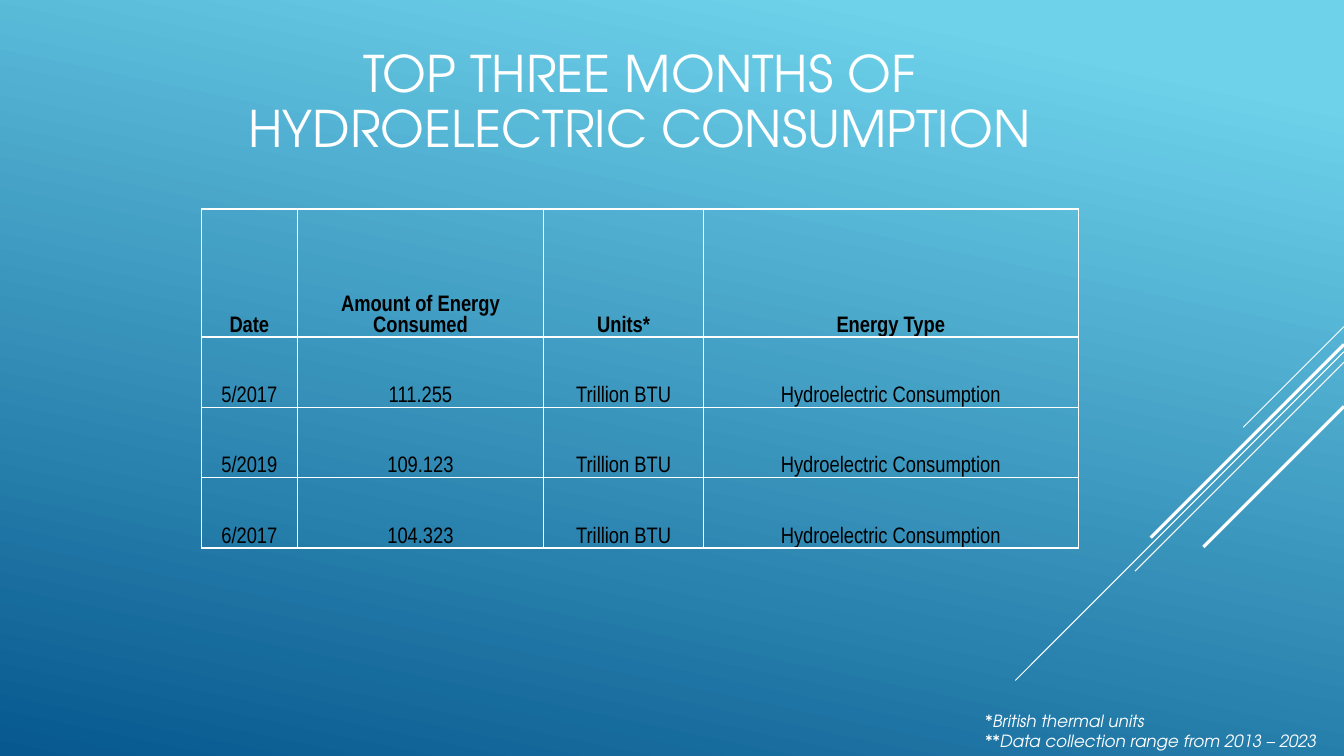
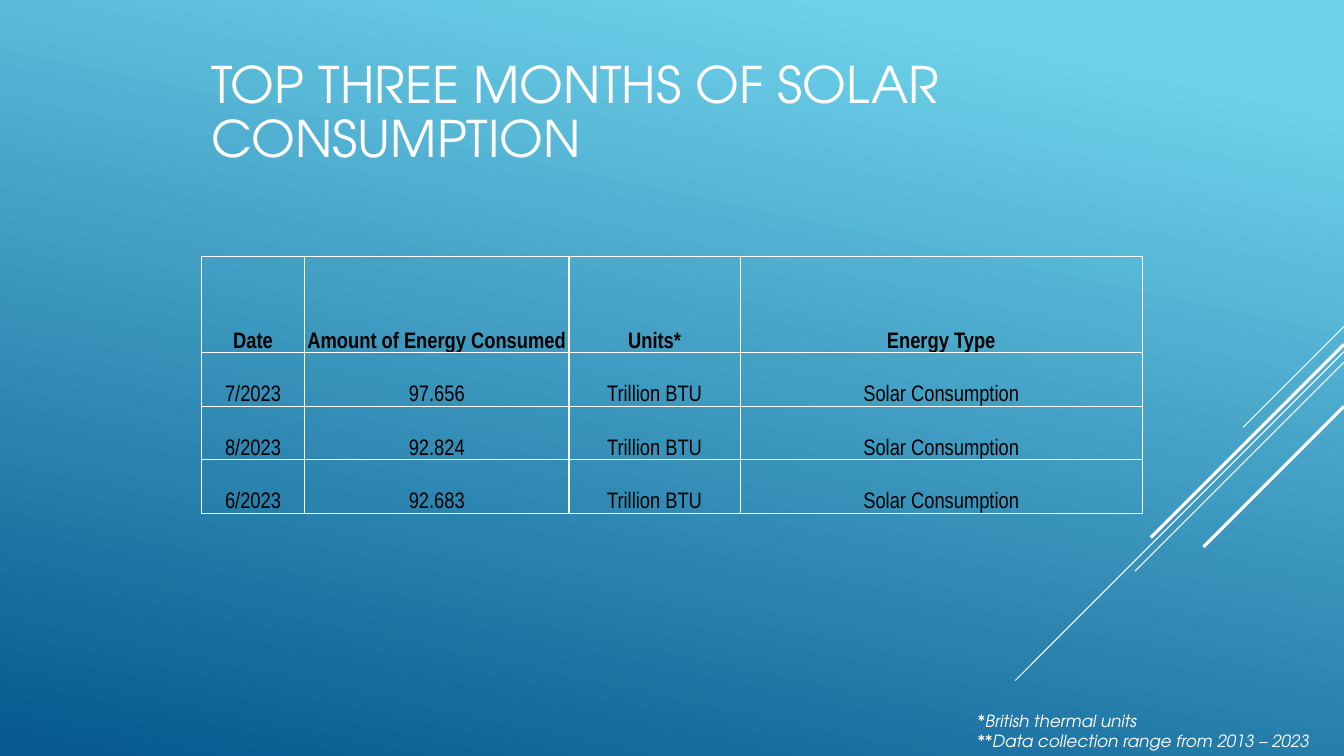
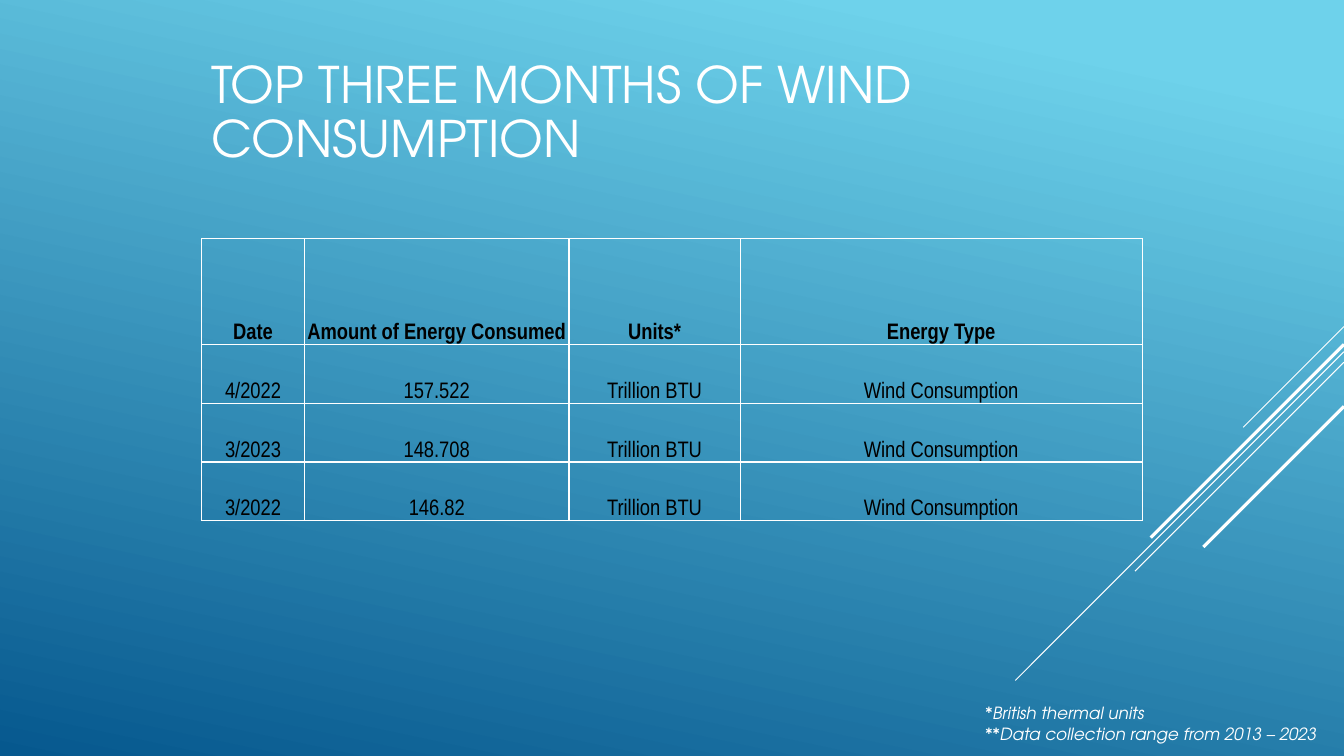
from dataclasses import dataclass

from lxml.etree import SubElement
from pptx import Presentation
from pptx.dml.color import RGBColor
from pptx.enum.shapes import MSO_CONNECTOR
from pptx.enum.text import MSO_ANCHOR, PP_ALIGN
from pptx.oxml import parse_xml
from pptx.oxml.ns import nsdecls, qn
from pptx.util import Pt


@dataclass(frozen=True)
class Theme:
    sky: str = "6ED2EB"
    deep: str = "06588E"
    white: str = "FFFFFF"
    black: str = "000000"
    display_font: str = "TeX Gyre Adventor"
    table_font: str = "Arial Narrow"
    title_size: int = 36
    table_size: int = 16
    note_size: int = 12
    border_width: int = 1


theme = Theme()
PX = 9525
SLIDE_WIDTH, SLIDE_HEIGHT = 1280, 720
TABLE_LEFT = 192

RAYS = [
    (311, 96, 0.75),
    (335, 313, 0.75),
    (345, 199, 0.75),
    (328, 184, 2.25),
    (387, 134, 2.25),
]
HEADINGS = ["Date", "Amount of Energy Consumed", "Units*", "Energy Type"]
NOTES = ["*British thermal units", "**Data collection range from 2013 – 2023"]
WIDE_COLUMNS = [98, 252, 163, 383]

PAGES = [
    dict(
        energy="Hydroelectric",
        title_box=(161, 20, 896, 158),
        align=PP_ALIGN.CENTER,
        table_top=199,
        columns=[91, 235, 152, 357],
        heading_height=122,
        row_height=67,
        note_box=(929, 672, 351, 68),
        months=[("5/2017", "111.255"), ("5/2019", "109.123"), ("6/2017", "104.323")],
    ),
    dict(
        energy="Solar",
        title_box=(192, 30, 896, 158),
        align=PP_ALIGN.LEFT,
        table_top=244,
        columns=WIDE_COLUMNS,
        heading_height=92,
        row_height=51,
        note_box=(922, 672, 358, 48),
        months=[("7/2023", "97.656"), ("8/2023", "92.824"), ("6/2023", "92.683")],
    ),
    dict(
        energy="Wind",
        title_box=(192, 30, 896, 158),
        align=PP_ALIGN.LEFT,
        table_top=227,
        columns=WIDE_COLUMNS,
        heading_height=101,
        row_height=56,
        note_box=(929, 665, 351, 48),
        months=[("4/2022", "157.522"), ("3/2023", "148.708"), ("3/2022", "146.82")],
    ),
]


def write(frame, lines, font=theme.display_font, size=theme.note_size, color=theme.white,
          bold=False, italic=False, align=PP_ALIGN.LEFT, spacing=None):
    frame.word_wrap = True
    for index, line in enumerate(lines):
        para = frame.paragraphs[0] if index == 0 else frame.add_paragraph()
        para.alignment = align
        para.line_spacing = spacing
        span = para.add_run()
        span.text = line
        span.font.name = font
        span.font.size = Pt(size)
        span.font.bold = bold
        span.font.italic = italic
        span.font.color.rgb = RGBColor.from_string(color)


def style_cell(cell):
    cell.fill.background()
    cell.vertical_anchor = MSO_ANCHOR.BOTTOM
    cell.margin_left = cell.margin_right = cell.margin_top = PX
    cell.margin_bottom = 0
    properties = cell._tc.get_or_add_tcPr()
    for index, side in enumerate(("lnL", "lnR", "lnT", "lnB")):
        properties.insert(index, parse_xml(
            f'<a:{side} {nsdecls("a")} w="{Pt(theme.border_width)}"><a:solidFill>'
            f'<a:srgbClr val="{theme.white}"/></a:solidFill></a:{side}>'))


deck = Presentation()
deck.slide_width = SLIDE_WIDTH * PX
deck.slide_height = SLIDE_HEIGHT * PX

backdrop = deck.slide_master.background.fill
backdrop.gradient()
backdrop.gradient_angle = 360 - 102
for stop, color, position in zip(backdrop.gradient_stops, (theme.sky, theme.deep), (0.1, 1)):
    stop.color.rgb = RGBColor.from_string(color)
    stop.position = position

for content in PAGES:
    page = deck.slides.add_slide(deck.slide_layouts[6])

    for top, run, weight in RAYS:
        ray = page.shapes.add_connector(
            MSO_CONNECTOR.STRAIGHT, SLIDE_WIDTH * PX, top * PX,
            (SLIDE_WIDTH - run) * PX, (top + run) * PX)
        ray.line.color.rgb = RGBColor.from_string(theme.white)
        ray.line.width = Pt(weight)
        SubElement(ray._element.spPr, qn("a:effectLst"))

    title = page.shapes.add_textbox(*(length * PX for length in content["title_box"]))
    title.text_frame.vertical_anchor = MSO_ANCHOR.MIDDLE
    write(title.text_frame, [f"TOP THREE MONTHS OF {content['energy'].upper()} CONSUMPTION"],
          size=theme.title_size, align=content["align"], spacing=0.9)

    rows = [HEADINGS] + [
        [date, amount, "Trillion BTU", f"{content['energy']} Consumption"]
        for date, amount in content["months"]
    ]
    heights = [content["heading_height"]] + [content["row_height"]] * len(content["months"])
    table = page.shapes.add_table(
        len(rows), len(HEADINGS), TABLE_LEFT * PX, content["table_top"] * PX,
        sum(content["columns"]) * PX, sum(heights) * PX).table
    table.horz_banding = False
    for column, width in zip(table.columns, content["columns"]):
        column.width = width * PX
    for row_index, (row, height) in enumerate(zip(rows, heights)):
        table.rows[row_index].height = height * PX
        for column_index, text in enumerate(row):
            cell = table.cell(row_index, column_index)
            style_cell(cell)
            write(cell.text_frame, [text], font=theme.table_font, size=theme.table_size,
                  color=theme.black, bold=row_index == 0, align=PP_ALIGN.CENTER)

    note = page.shapes.add_textbox(*(length * PX for length in content["note_box"]))
    write(note.text_frame, NOTES, italic=True)

deck.save("out.pptx")
